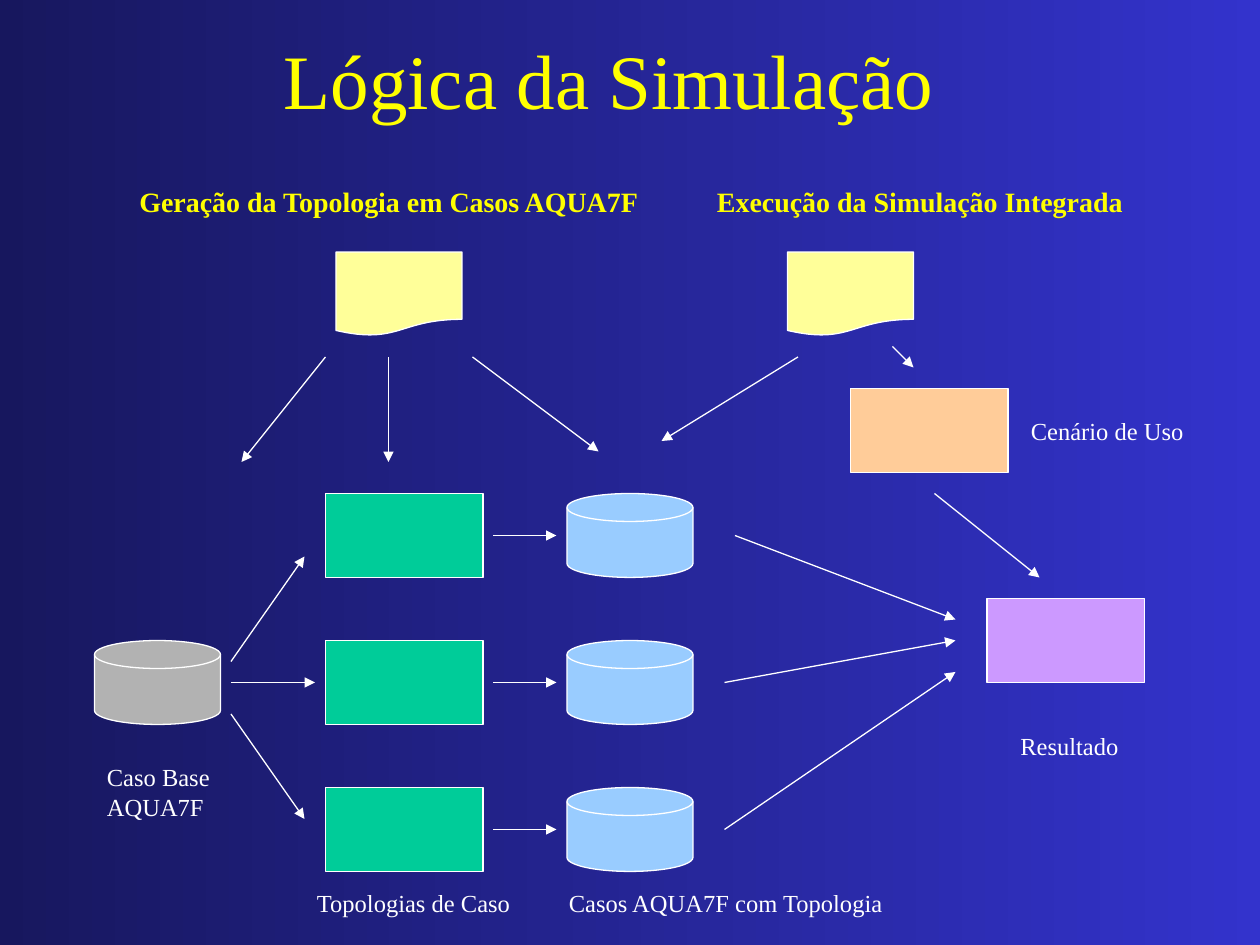
import lxml.etree
import pptx
import pptx.dml.color
import pptx.enum.shapes
import pptx.enum.text
import pptx.oxml.ns
import pptx.util

SHAPE = pptx.enum.shapes.MSO_SHAPE
ALIGN = pptx.enum.text.PP_ALIGN
ANCHOR = pptx.enum.text.MSO_ANCHOR
AUTO = pptx.enum.text.MSO_AUTO_SIZE


def rgb(value):
    return pptx.dml.color.RGBColor.from_string(value)


class Diagram:
    """Draws styled elements on a slide with a grid of 120 columns by 90 rows."""

    columns, rows = 120, 90
    font = "Times New Roman"
    white, yellow = "FFFFFF", "FFFF00"
    line_width = pptx.util.Pt(0.75)

    def __init__(self, prs):
        self.prs = prs
        self.s = prs.slides.add_slide(prs.slide_layouts[6])

    def place(self, *lengths):
        units = (self.prs.slide_width / self.columns, self.prs.slide_height / self.rows)
        return [round(n * units[i % 2]) for i, n in enumerate(lengths)]

    def background(self, right, left):
        fill = self.s.background.fill
        fill.gradient()
        fill.gradient_angle = 180
        for stop, color in zip(fill.gradient_stops, (right, left)):
            stop.color.rgb = rgb(color)

    def stroke(self, line):
        line.color.rgb = rgb(self.white)
        line.width = self.line_width

    def shape(self, kind, x, y, w, color):
        sp = self.s.shapes.add_shape(kind, *self.place(x, y, w, 8))
        sp.shadow.inherit = False
        sp.fill.solid()
        sp.fill.fore_color.rgb = rgb(color)
        self.stroke(sp.line)

    def arrow(self, *ends):
        kind = pptx.enum.shapes.MSO_CONNECTOR.STRAIGHT
        sp = self.s.shapes.add_connector(kind, *self.place(*ends))
        self.stroke(sp.line)
        qn = pptx.oxml.ns.qn
        props = sp._element.spPr
        lxml.etree.SubElement(props.find(qn("a:ln")), qn("a:tailEnd"), type="triangle")
        lxml.etree.SubElement(props, qn("a:effectLst"))

    def text(self, lines, x, y, w, h, color=white, size=14, bold=False, align=ALIGN.LEFT,
             anchor=ANCHOR.TOP, wrap=False, auto=AUTO.SHAPE_TO_FIT_TEXT):
        tf = self.s.shapes.add_textbox(*self.place(x, y, w, h)).text_frame
        tf.word_wrap = wrap
        tf.auto_size = auto
        tf.vertical_anchor = anchor
        values = {"name": self.font, "size": pptx.util.Pt(size), "bold": bold}
        for i, line in enumerate(lines.split("\n")):
            p = tf.add_paragraph() if i else tf.paragraphs[0]
            p.alignment = align
            r = p.add_run()
            r.text = line
            r.font.color.rgb = rgb(color)
            for name, value in values.items():
                setattr(r.font, name, value)


def main():
    prs = pptx.Presentation()
    prs.slide_width = pptx.util.Inches(10)
    prs.slide_height = pptx.util.Inches(7.5)
    d = Diagram(prs)
    d.background("3333CC", "17175E")

    d.text("Lógica da Simulação", 7, 3, 102, 9, d.yellow, 44, align=ALIGN.CENTER,
           anchor=ANCHOR.MIDDLE, wrap=True, auto=AUTO.NONE)
    for heading, x, w in (("Geração da Topologia em Casos AQUA7F", 12.1, 50.4),
                          ("Execução da Simulação Integrada", 67.1, 41.2)):
        d.text(heading, x, 17, w, 4.4, d.yellow, 16, bold=True)

    for x in (32, 75):
        d.shape(SHAPE.FLOWCHART_DOCUMENT, x, 24, 12, "FFFF99")
    d.shape(SHAPE.FLOWCHART_MAGNETIC_DISK, 9, 61, 12, "B2B2B2")
    for y in (47, 61, 75):
        d.shape(SHAPE.RECTANGLE, 31, y, 15, "00CC99")
        d.shape(SHAPE.FLOWCHART_MAGNETIC_DISK, 54, y, 12, "99CCFF")
        d.arrow(47, y + 4, 53, y + 4)
    d.shape(SHAPE.RECTANGLE, 81, 37, 15, "FFCC99")
    d.shape(SHAPE.RECTANGLE, 94, 57, 15, "CC99FF")

    base_to_topologies = [(22, 63, 29, 53), (22, 65, 30, 65), (22, 68, 29, 78)]
    generation = [(31, 34, 23, 44), (37, 34, 37, 44), (45, 34, 57, 43)]
    execution = [(76, 34, 63, 42), (85, 33, 87, 35), (89, 47, 99, 55)]
    cases_to_result = [(70, 51, 91, 59), (69, 65, 91, 61), (69, 79, 91, 64)]
    for ends in base_to_topologies + generation + execution + cases_to_result:
        d.arrow(*ends)

    d.text("Caso Base\nAQUA7F", 9, 72, 12.3, 6.8, wrap=True)
    for label, x, y, w in (("Topologias de Caso", 29, 84, 21),
                           ("Casos AQUA7F com Topologia", 53, 84, 32.6),
                           ("Cenário de Uso", 97, 39, 17),
                           ("Resultado", 96, 69, 11.8)):
        d.text(label, x, y, w, 4.1)
    prs.save("out.pptx")


if __name__ == "__main__":
    main()
